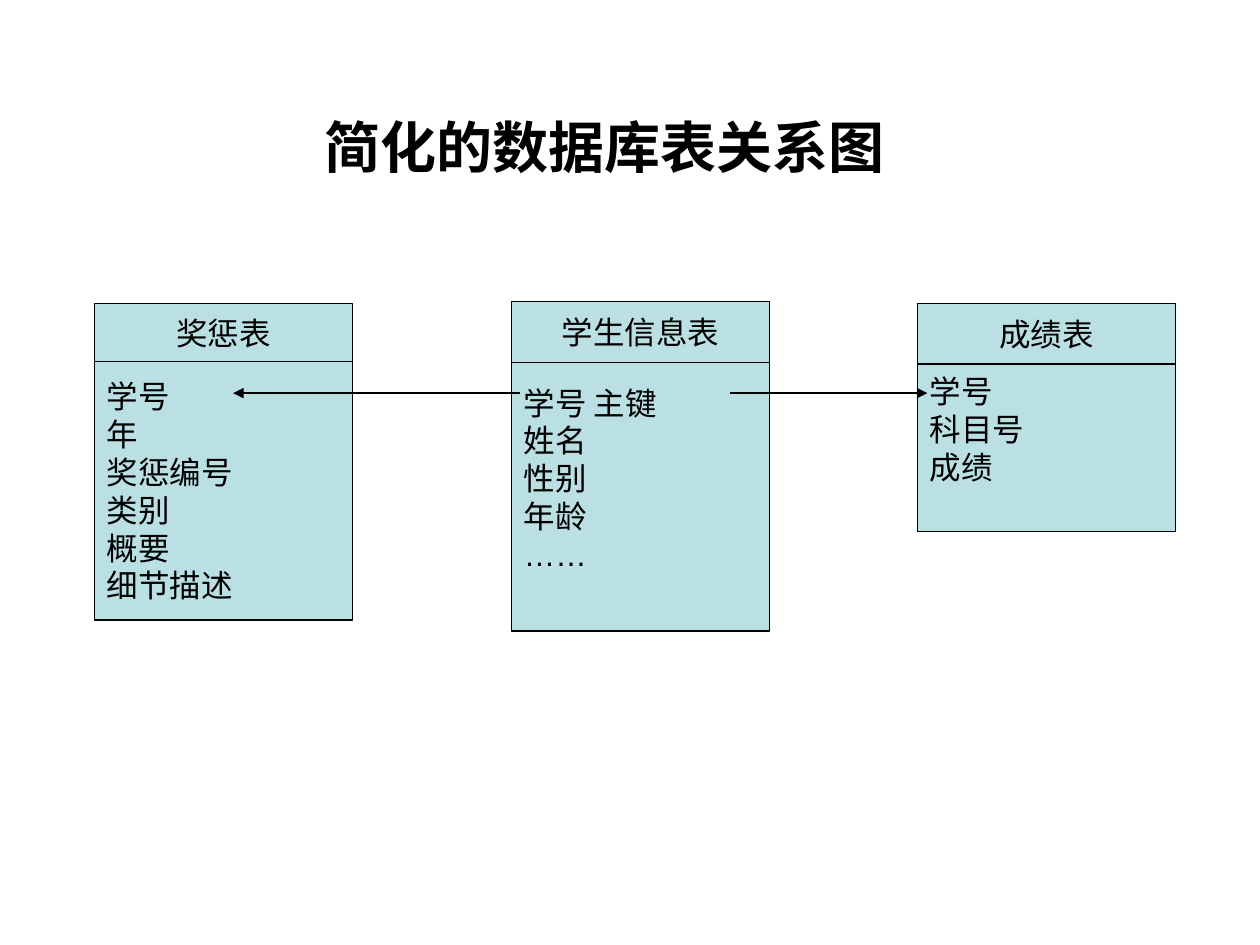
from pptx import Presentation
from pptx.dml.color import RGBColor
from pptx.enum.shapes import MSO_CONNECTOR, MSO_SHAPE
from pptx.enum.text import MSO_ANCHOR, PP_ALIGN
from pptx.oxml.ns import qn
from pptx.util import Inches, Pt
from lxml.etree import SubElement


def rgb(value):
    return RGBColor.from_string(value)


def write(tf, lines, align=PP_ALIGN.LEFT, **font):
    """Fill a text frame with one paragraph per line."""
    tf.word_wrap = True
    for i, line in enumerate(lines):
        p = tf.paragraphs[0] if i == 0 else tf.add_paragraph()
        p.alignment = align
        r = p.add_run()
        r.text = line
        r.font.color.rgb = rgb("000000")
        for name, value in ({"name": "Arial", "size": Pt(18)} | font).items():
            setattr(r.font, name, value)


prs = Presentation()
prs.slide_width, prs.slide_height = Inches(10), Inches(7.5)
s = prs.slides.add_slide(prs.slide_layouts[6])

# Database tables: left, top, header height, body height, bottom inset, name, fields
WIDTH = 2.05
tables = [
    (4.06, 2.39, 0.49, 2.13, 0.35, "学生信息表",
     ["学号 主键", "姓名", "性别", "年龄", "……"]),
    (7.28, 2.41, 0.48, 1.33, 0.35, "成绩表", ["学号", "科目号", "成绩"]),
    (0.75, 2.41, 0.46, 2.05, 0.05, "奖惩表",
     ["学号", "年", "奖惩编号", "类别", "概要", "细节描述"]),
]
for left, top, head_h, body_h, inset, name, fields in tables:
    group = s.shapes.add_group_shape()
    parts = [
        (top, head_h, 0.05, [name], PP_ALIGN.CENTER),
        (top + head_h, body_h, inset, fields, PP_ALIGN.LEFT),
    ]
    for y, height, bottom, lines, align in parts:
        sp = group.shapes.add_shape(MSO_SHAPE.RECTANGLE, Inches(left), Inches(y),
                                    Inches(WIDTH), Inches(height))
        sp.shadow.inherit = False
        sp.fill.solid()
        sp.fill.fore_color.rgb = rgb("BBE0E3")
        sp.line.color.rgb = rgb("000000")
        sp.line.width = Pt(0.75)
        tf = sp.text_frame
        tf.vertical_anchor = MSO_ANCHOR.MIDDLE
        tf.margin_bottom = Inches(bottom)
        write(tf, lines, align)

# Arrows from the primary key to the linked tables
ARROW_Y = Inches(3.12)
for start, end in [(5.79, 7.36), (4.13, 1.85)]:
    line = s.shapes.add_connector(MSO_CONNECTOR.STRAIGHT, Inches(start), ARROW_Y,
                                  Inches(end), ARROW_Y)
    line.line.color.rgb = rgb("000000")
    line.line.width = Pt(0.75)
    SubElement(line.line._get_or_add_ln(), qn("a:tailEnd"), type="triangle")
    SubElement(line._element.spPr, qn("a:effectLst"))

# Title
title = s.shapes.add_textbox(Inches(2.48), Inches(0.84), Inches(5.04), Inches(0.64))
write(title.text_frame, ["简化的数据库表关系图"], size=Pt(32), bold=True)

prs.save("out.pptx")
